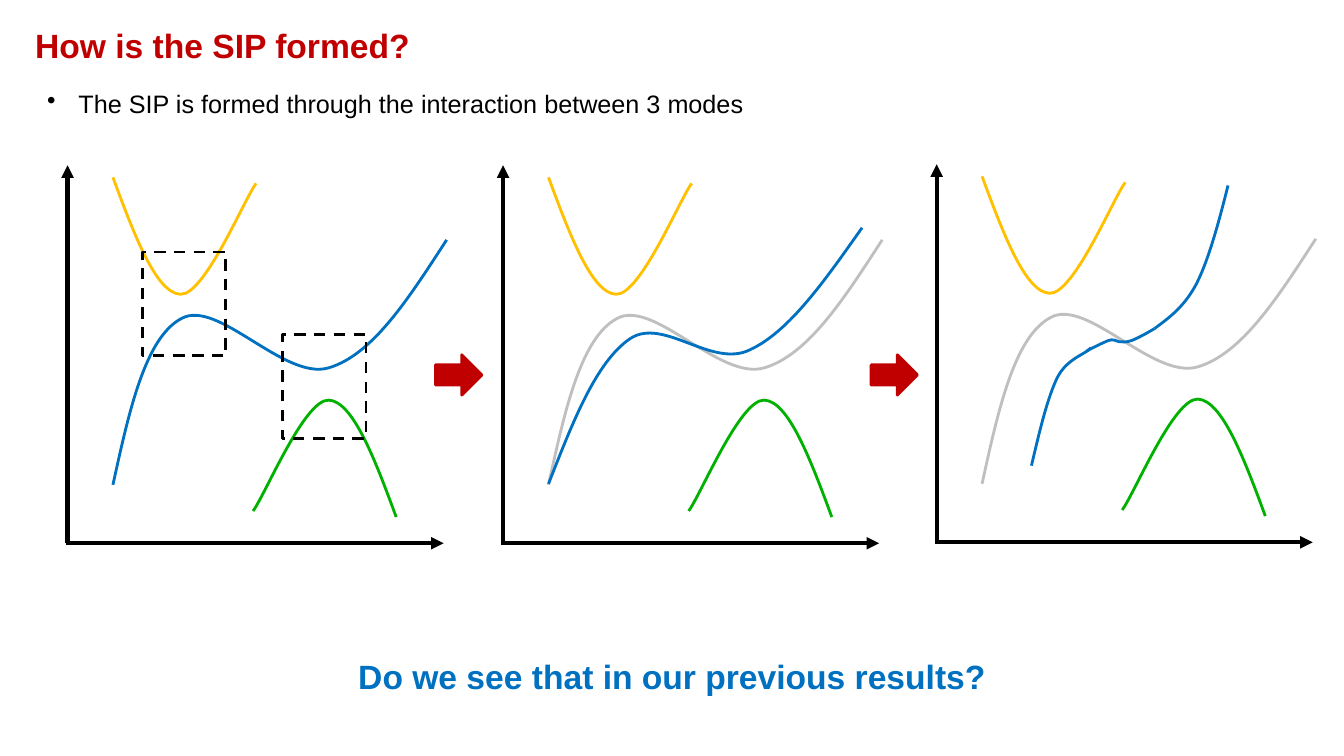
"""Build the slide on how three modes interact to form the SIP."""
from dataclasses import dataclass

from pptx import Presentation
from pptx.dml.color import RGBColor
from pptx.enum.dml import MSO_LINE as Dash
from pptx.enum.shapes import MSO_CONNECTOR as Link, MSO_SHAPE as Form
from pptx.enum.text import MSO_ANCHOR as Anchor, MSO_AUTO_SIZE as Fit, PP_ALIGN as Align
from pptx.oxml.ns import qn
from pptx.oxml.xmlchemy import OxmlElement as make
from pptx.util import Inches, Pt

RED, BLUE, GOLD = "C00000", "0070C0", "FFC000"
GREEN, GREY, BLACK = "00B100", "BFBFBF", "000000"
Points = list[tuple[float, float]]


@dataclass
class Curve:
    color: str
    points: Points


@dataclass
class Panel:
    dx: float
    dy: float
    curves: list[Curve]
    boxes: Points


@dataclass
class Label:
    text: str
    box: tuple[float, float, float, float]
    size: int
    color: str
    bold: bool = False
    align: Align = Align.LEFT
    bullet: bool = False
    fit: Fit = Fit.SHAPE_TO_FIT_TEXT


def rgb(color: str) -> RGBColor:
    return RGBColor.from_string(color)


def stroke(line, color: str, width: float) -> None:
    line.color.rgb = rgb(color)
    line.width = Pt(width)


def draw_axis(shapes, x1: float, y1: float, x2: float, y2: float) -> None:
    axis = shapes.add_connector(Link.STRAIGHT, *map(Inches, (x1, y1, x2, y2)))
    stroke(axis.line, BLACK, 3)
    tail = make("a:tailEnd")
    tail.set("type", "triangle")
    axis.line._get_or_add_ln().append(tail)
    axis._element.spPr.append(make("a:effectLst"))


def draw_curve(shapes, curve: Curve, dx: float, dy: float) -> None:
    spots = [(Inches(x + dx), Inches(y + dy)) for x, y in curve.points]
    form = shapes.build_freeform(*spots[0])
    form.add_line_segments(spots[1:], close=False)
    shape = form.convert_to_shape()
    shape.shadow.inherit = False
    shape.fill.background()
    stroke(shape.line, curve.color, 2)
    track = shape._element.find(".//" + qn("a:path"))
    steps = track.findall(qn("a:lnTo"))
    for i in range(0, len(steps), 3):
        bend = make("a:cubicBezTo")
        steps[i].addprevious(bend)
        for step in steps[i:i + 3]:
            bend.append(step[0])
            track.remove(step)


def draw_box(shapes, x: float, y: float) -> None:
    box = shapes.add_shape(Form.RECTANGLE, *map(Inches, (x, y, 0.83, 1.03)))
    box.shadow.inherit = False
    box.fill.background()
    stroke(box.line, BLACK, 2)
    box.line.dash_style = Dash.DASH


def draw_panel(slide, panel: Panel) -> None:
    shapes = slide.shapes.add_group_shape().shapes
    dx, dy = panel.dx, panel.dy
    draw_axis(shapes, 0.67 + dx, 5.39 + dy, 0.67 + dx, 1.64 + dy)
    draw_axis(shapes, 0.65 + dx, 5.39 + dy, 4.4 + dx, 5.39 + dy)
    for curve in panel.curves:
        draw_curve(shapes, curve, dx, dy)
    for x, y in panel.boxes:
        draw_box(shapes, x + dx, y + dy)


def draw_arrow(slide, x: float) -> None:
    arrow = slide.shapes.add_shape(Form.RIGHT_ARROW, *map(Inches, (x, 3.52, 0.46, 0.4)))
    arrow.shadow.inherit = False
    arrow.fill.solid()
    arrow.fill.fore_color.rgb = rgb(RED)
    stroke(arrow.line, RED, 2)


def draw_label(slide, label: Label) -> None:
    frame = slide.shapes.add_textbox(*map(Inches, label.box)).text_frame
    frame.word_wrap = True
    frame.auto_size = label.fit
    frame.vertical_anchor = Anchor.MIDDLE if label.fit == Fit.NONE else Anchor.TOP
    frame.text = label.text
    para = frame.paragraphs[0]
    para.alignment = label.align
    if label.bullet:
        props = para._p.get_or_add_pPr()
        props.set("marL", str(Inches(0.31)))
        props.set("indent", str(Inches(-0.31)))
        mark = make("a:buChar")
        mark.set("char", "•")
        props.append(mark)
    font = para.runs[0].font
    font.name, font.size, font.bold = "Arial", Pt(label.size), label.bold
    font.color.rgb = rgb(label.color)


UPPER = [(1.12, 1.76), (1.33, 2.33), (1.55, 2.91), (1.79, 2.92),
         (2.03, 2.93), (2.42, 1.98), (2.54, 1.82)]
LOWER = [(5.05 - x, 6.89 - y) for x, y in UPPER]
MIDDLE = [(1.12, 4.81), (1.28, 4.08), (1.44, 3.35), (1.8, 3.16), (2.16, 2.96),
          (2.82, 3.78), (3.26, 3.65), (3.7, 3.52), (4.06, 2.95), (4.43, 2.38)]
FLATTER = [(1.12, 4.8), (1.36, 4.19), (1.59, 3.59), (1.93, 3.36), (2.26, 3.14),
           (2.74, 3.66), (3.12, 3.47), (3.51, 3.29), (3.87, 2.77), (4.23, 2.26)]
CENTRE = [(2.16, 3.49), (2.24, 3.45), (2.32, 3.41), (2.37, 3.39), (2.42, 3.37),
          (2.44, 3.39), (2.48, 3.4), (2.52, 3.4), (2.54, 3.41), (2.6, 3.39),
          (2.66, 3.37), (2.8, 3.29), (2.83, 3.27)]
RISE = [(2.83, 3.27), (2.98, 3.16), (3.13, 3.05), (3.25, 2.82),
        (3.37, 2.58), (3.47, 2.21), (3.56, 1.85)]
START = [(1.61, 4.63), (1.69, 4.29), (1.77, 3.95), (1.87, 3.75),
         (1.97, 3.56), (2.16, 3.52), (2.2, 3.46)]

OUTER = [Curve(GOLD, UPPER), Curve(GREEN, LOWER)]
BEFORE = OUTER + [Curve(GREY, MIDDLE)]
PANELS = [
    Panel(0, 0, OUTER + [Curve(BLUE, MIDDLE)], [(1.41, 2.5), (2.8, 3.32)]),
    Panel(4.32, 0, BEFORE + [Curve(BLUE, FLATTER)], []),
    Panel(8.62, -0.01, BEFORE + [Curve(BLUE, part) for part in (CENTRE, RISE, START)], []),
]
LABELS = [
    Label("How is the SIP formed?", (0.25, 0.22, 9.08, 0.45), 24, RED, bold=True, fit=Fit.NONE),
    Label("The SIP is formed through the interaction between 3 modes",
          (0.37, 0.83, 12.3, 0.4), 18, BLACK, bullet=True),
    Label("Do we see that in our previous results?", (3.41, 6.46, 6.51, 0.5), 24, BLUE,
          bold=True, align=Align.CENTER),
]


def main() -> None:
    deck = Presentation()
    deck.slide_width, deck.slide_height = Inches(13.33), Inches(7.5)
    slide = deck.slides.add_slide(deck.slide_layouts[6])
    for label in LABELS:
        draw_label(slide, label)
    for panel in PANELS:
        draw_panel(slide, panel)
    for x in (4.32, 8.64):
        draw_arrow(slide, x)
    deck.save("out.pptx")


if __name__ == "__main__":
    main()
